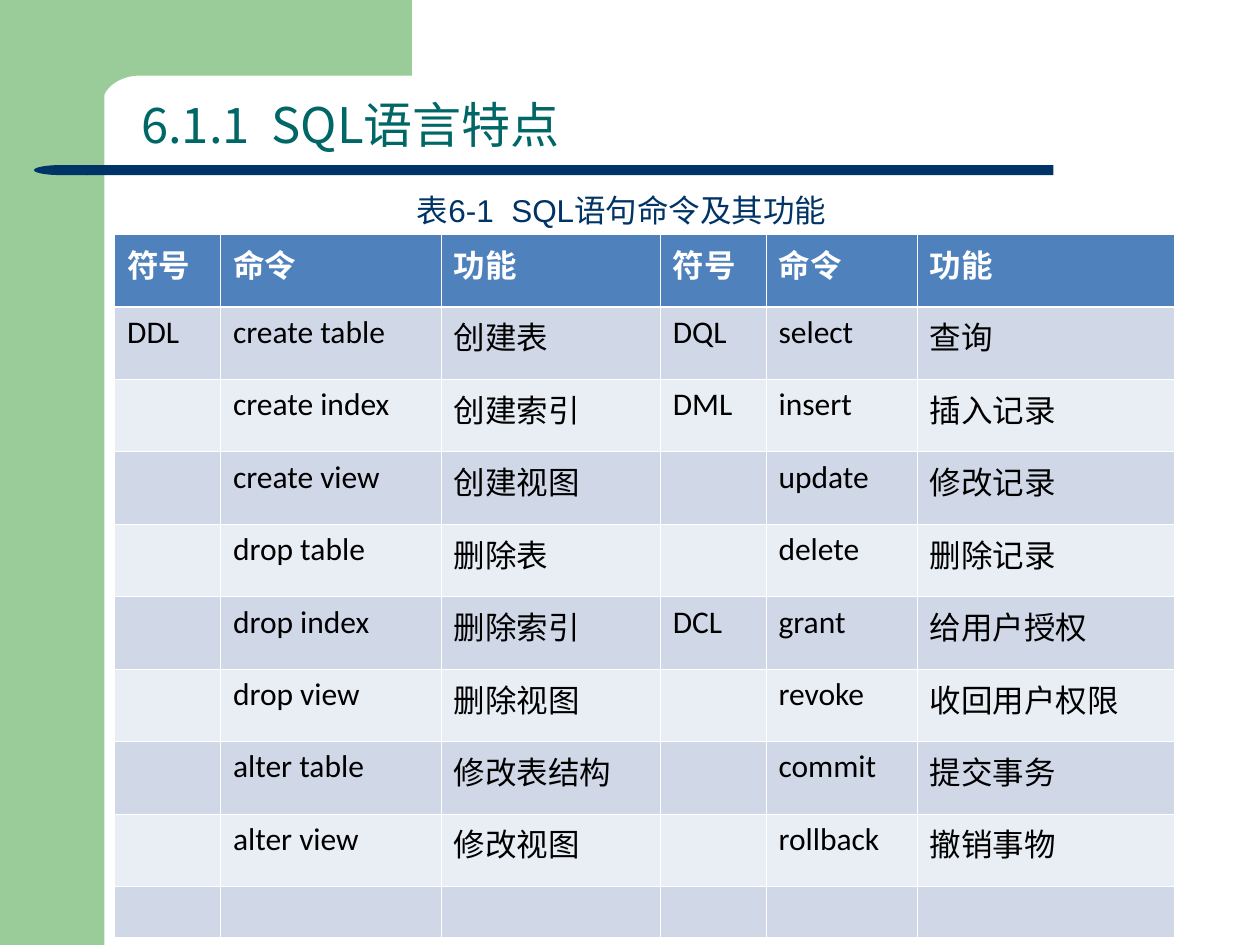
from math import cos, pi, sin

from lxml.etree import SubElement
from pptx import Presentation
from pptx.dml.color import RGBColor
from pptx.enum.shapes import MSO_SHAPE
from pptx.enum.text import MSO_ANCHOR, MSO_AUTO_SIZE, PP_ALIGN
from pptx.oxml import parse_xml
from pptx.oxml.ns import nsdecls, qn
from pptx.util import Inches, Pt

COLORS = {
    "green": "99CC99",
    "navy": "003366",
    "teal": "006666",
    "header": "4F81BD",
    "band_dark": "D0D8E8",
    "band_light": "E9EDF4",
    "white": "FFFFFF",
    "black": "000000",
}

TITLE_FORMAT = {"name": "Noto Sans CJK SC", "size": Pt(28), "bold": False, "color": "teal"}
CAPTION_FORMAT = {"name": "Arial", "size": Pt(18), "color": "navy"}
HEADER_FORMAT = {"name": "Calibri", "size": Pt(18), "bold": True, "color": "white"}
BODY_FORMAT = {"name": "Calibri", "size": Pt(18), "bold": False, "color": "black"}

COLUMN_WIDTHS = [0.84, 1.75, 1.74, 0.84, 1.2, 2.04]
TABLE_HEIGHT = 5.58
LAST_ROW_HEIGHT = 0.4
ROWS = [
    ("符号", "命令", "功能", "符号", "命令", "功能"),
    ("DDL", "create table", "创建表", "DQL", "select", "查询"),
    ("", "create index", "创建索引", "DML", "insert", "插入记录"),
    ("", "create view", "创建视图", "", "update", "修改记录"),
    ("", "drop table", "删除表", "", "delete", "删除记录"),
    ("", "drop index", "删除索引", "DCL", "grant", "给用户授权"),
    ("", "drop view", "删除视图", "", "revoke", "收回用户权限"),
    ("", "alter table", "修改表结构", "", "commit", "提交事务"),
    ("", "alter view", "修改视图", "", "rollback", "撤销事物"),
    ("",) * 6,
]


def color(name):
    return RGBColor.from_string(COLORS[name])


def write_text(paragraph, text, text_format):
    run = paragraph.add_run()
    run.text = text
    for attribute, value in text_format.items():
        if attribute == "color":
            run.font.color.rgb = color(value)
        else:
            setattr(run.font, attribute, value)
    east_asian = SubElement(run.font._element, qn("a:ea"))
    east_asian.set("typeface", "Noto Sans CJK SC")


def paint(shape, fill):
    shape.shadow.inherit = False
    shape.fill.solid()
    shape.fill.fore_color.rgb = color(fill)
    shape.line.fill.background()
    return shape


def add_block(slide, kind, box, fill):
    shape = slide.shapes.add_shape(kind, *map(Inches, box))
    return paint(shape, fill)


def add_corner(slide):
    """Top band whose lower left inside edge is a quarter ellipse."""
    center_x, center_y, radius_x, radius_y = 1.11, 0.83, 0.3, 0.23
    steps = 16
    angles = [pi / 2 * (1 + step / steps) for step in range(steps + 1)]
    arc = [(center_x + radius_x * cos(angle), center_y - radius_y * sin(angle))
           for angle in angles]
    points = [(3.27, 0.6), *arc, (0.81, 0.91), (0.5, 0.91), (0.5, 0)]
    builder = slide.shapes.build_freeform(Inches(3.27), 0)
    builder.add_line_segments([(Inches(x), Inches(y)) for x, y in points])
    paint(builder.convert_to_shape(), "green")


def add_decoration(slide):
    add_block(slide, MSO_SHAPE.RECTANGLE, (0, 0, 0.83, 7.5), "green")
    add_corner(slide)
    rule = add_block(slide, MSO_SHAPE.ROUNDED_RECTANGLE, (0.69, 1.31, 7.67, 0.08), "navy")
    rule.adjustments[0] = 0
    tip = add_block(slide, MSO_SHAPE.FLOWCHART_DELAY, (0.27, 1.31, 0.43, 0.08), "navy")
    tip.element.spPr.xfrm.set("flipH", "1")


def add_title(slide, text):
    title = slide.shapes.title
    title.left, title.top, title.width, title.height = map(Inches, (1.02, 0.72, 8.19, 0.55))
    frame = title.text_frame
    frame.auto_size = MSO_AUTO_SIZE.NONE
    frame.vertical_anchor = MSO_ANCHOR.BOTTOM
    paragraph = frame.paragraphs[0]
    paragraph.alignment = PP_ALIGN.LEFT
    paragraph.line_spacing = 0.9
    write_text(paragraph, text, TITLE_FORMAT)
    # Bring the title in front of the decoration
    slide.shapes._spTree.append(title.element)


def add_caption(slide, text):
    caption = slide.shapes.add_textbox(*map(Inches, (3.21, 1.47, 3.57, 0.4)))
    frame = caption.text_frame
    frame.word_wrap = False
    frame.auto_size = MSO_AUTO_SIZE.SHAPE_TO_FIT_TEXT
    write_text(frame.paragraphs[0], text, CAPTION_FORMAT)


def set_borders(cell, widths):
    properties = cell._tc.get_or_add_tcPr()
    for position, (side, width) in enumerate(widths.items()):
        border = parse_xml(
            f'<a:ln{side} {nsdecls("a")} w="{Pt(width)}"><a:solidFill>'
            f'<a:srgbClr val="{COLORS["white"]}"/></a:solidFill></a:ln{side}>')
        properties.insert(position, border)


def format_cell(cell, text, row_index):
    if row_index == 0:
        fill, text_format = "header", HEADER_FORMAT
    else:
        fill = "band_dark" if row_index % 2 else "band_light"
        text_format = BODY_FORMAT
    cell.fill.solid()
    cell.fill.fore_color.rgb = color(fill)
    # The line under the header is thicker
    thin, thick = 0.45, 1.47
    set_borders(cell, {"L": thin, "R": thin,
                       "T": thick if row_index == 1 else thin,
                       "B": thick if row_index == 0 else thin})
    if text:
        write_text(cell.text_frame.paragraphs[0], text, text_format)


def add_command_table(slide):
    box = (0.91, 1.86, sum(COLUMN_WIDTHS), TABLE_HEIGHT)
    table = slide.shapes.add_table(len(ROWS), len(COLUMN_WIDTHS), *map(Inches, box)).table
    for column, width in zip(table.columns, COLUMN_WIDTHS):
        column.width = Inches(width)
    row_height = (TABLE_HEIGHT - LAST_ROW_HEIGHT) / (len(ROWS) - 1)
    for row_index, (row, texts) in enumerate(zip(table.rows, ROWS)):
        row.height = Inches(row_height if any(texts) else LAST_ROW_HEIGHT)
        for cell, text in zip(row.cells, texts):
            format_cell(cell, text, row_index)


def main():
    presentation = Presentation()
    presentation.slide_width, presentation.slide_height = Inches(10), Inches(7.5)
    slide = presentation.slides.add_slide(presentation.slide_layouts[5])
    add_decoration(slide)
    add_title(slide, "6.1.1  SQL语言特点")
    add_command_table(slide)
    add_caption(slide, "表6-1  SQL语句命令及其功能")
    presentation.save("out.pptx")


if __name__ == "__main__":
    main()
